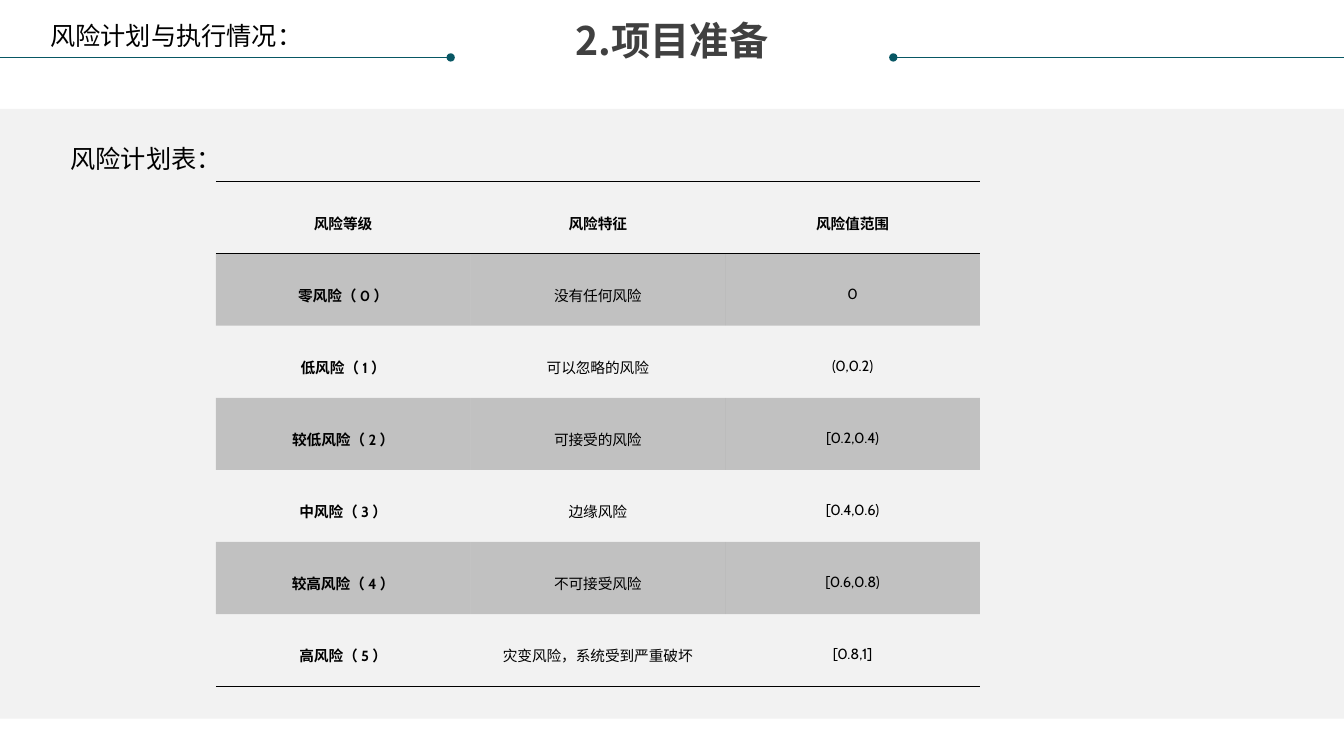
from dataclasses import dataclass

import lxml.etree
import pptx
import pptx.dml.color
import pptx.enum.dml
import pptx.enum.shapes
import pptx.enum.text
import pptx.oxml.ns
import pptx.util

Inches = pptx.util.Inches
Pt = pptx.util.Pt
qn = pptx.oxml.ns.qn
Align = pptx.enum.text.PP_ALIGN
Anchor = pptx.enum.text.MSO_ANCHOR
AutoSize = pptx.enum.text.MSO_AUTO_SIZE


@dataclass(frozen=True)
class Theme:
    panel: str = "F2F2F2"
    rule: str = "085764"
    title: str = "404040"
    ink: str = "000000"
    band_alpha: int = 20
    latin: str = "Cabin"
    chinese: str = "Noto Sans CJK SC"
    title_size: float = 28
    label_size: float = 18
    cell_size: float = 10.5


THEME = Theme()
SLIDE_WIDTH, SLIDE_HEIGHT = 13.33, 7.5
PLAIN_TABLE_STYLE = "{2D5ABB26-0587-4C30-8999-92F81FD0307C}"
RISK_HEADER = ("风险等级", "风险特征", "风险值范围")
RISK_LEVELS = [
    ("零风险（ 0 ）", "没有任何风险", "0"),
    ("低风险（ 1 ）", "可以忽略的风险", "(0,0.2)"),
    ("较低风险（ 2 ）", "可接受的风险", "[0.2,0.4)"),
    ("中风险（ 3 ）", "边缘风险", "[0.4,0.6)"),
    ("较高风险（ 4 ）", "不可接受风险", "[0.6,0.8)"),
    ("高风险（ 5 ）", "灾变风险，系统受到严重破坏", "[0.8,1]"),
]


def rgb(value):
    return pptx.dml.color.RGBColor.from_string(value)


def add_xml(parent, tag, **attributes):
    return lxml.etree.SubElement(parent, qn(tag), attributes)


def write_text(frame, text, size, color=THEME.ink, font=THEME.latin, bold=False,
               align=Align.LEFT, spacing=1.0):
    paragraph = frame.paragraphs[0]
    paragraph.alignment = align
    paragraph.line_spacing = spacing
    run = paragraph.add_run()
    run.text = text
    run.font.size = Pt(size)
    run.font.bold = bold
    run.font.name = font
    run.font.color.rgb = rgb(color)
    add_xml(run.font._element, "a:ea", typeface=THEME.chinese)


def add_label(slide, text, left, top, width, height):
    box = slide.shapes.add_textbox(Inches(left), Inches(top), Inches(width), Inches(height))
    box.text_frame.word_wrap = False
    box.text_frame.auto_size = AutoSize.SHAPE_TO_FIT_TEXT
    write_text(box.text_frame, text, THEME.label_size)


def add_dotted_rule(slide, edge_x, dot_x, y):
    """Draw a rule from the slide edge to a round dot."""
    rule = slide.shapes.add_connector(
        pptx.enum.shapes.MSO_CONNECTOR.STRAIGHT,
        Inches(edge_x), Inches(y), Inches(dot_x), Inches(y))
    rule.line.color.rgb = rgb(THEME.rule)
    rule.line.width = Pt(0.5)
    add_xml(rule.line._get_or_add_ln(), "a:tailEnd", type="oval")
    add_xml(rule._element.spPr, "a:effectLst")


def add_header(slide, left, top, width):
    title = slide.shapes.title
    title.left, title.top = Inches(left + 0.25), Inches(top + 0.21)
    title.width, title.height = Inches(width - 0.5), Inches(0.85)
    frame = title.text_frame
    frame.margin_left = frame.margin_right = frame.margin_top = frame.margin_bottom = 0
    frame.vertical_anchor = Anchor.TOP
    frame.word_wrap = True
    frame.auto_size = AutoSize.NONE
    write_text(frame, "2.项目准备", THEME.title_size, color=THEME.title,
               font=THEME.chinese, bold=True, align=Align.CENTER, spacing=0.9)

    rule_length = 4.47
    right = left + width
    add_dotted_rule(slide, left, left + rule_length, top + 0.57)
    add_dotted_rule(slide, right, right - rule_length, top + 0.57)
    add_label(slide, "风险计划与执行情况：", left + 0.4, top + 0.15, 2.73, 0.4)


def add_border(cell, tag):
    line = add_xml(cell._tc.get_or_add_tcPr(), tag, w=str(Pt(1)))
    add_xml(add_xml(line, "a:solidFill"), "a:srgbClr", val=THEME.ink)


def fill_band(cell):
    cell.fill.solid()
    cell.fill.fore_color.rgb = rgb(THEME.ink)
    color = cell._tc.tcPr.find(qn("a:solidFill")).find(qn("a:srgbClr"))
    add_xml(color, "a:alpha", val=str(THEME.band_alpha * 1000))


def add_risk_table(slide, left, top, width, height):
    rows = [RISK_HEADER, *RISK_LEVELS]
    last = len(rows) - 1
    table = slide.shapes.add_table(
        len(rows), len(RISK_HEADER),
        Inches(left), Inches(top), Inches(width), Inches(height)).table
    table._tbl.tblPr.find(qn("a:tableStyleId")).text = PLAIN_TABLE_STYLE
    table.first_row = table.horz_banding = False

    for r, row in enumerate(rows):
        for c, text in enumerate(row):
            cell = table.cell(r, c)
            cell.margin_left = cell.margin_right = Inches(0.07)
            cell.margin_top = cell.margin_bottom = 0
            cell.vertical_anchor = Anchor.MIDDLE
            write_text(cell.text_frame, text, THEME.cell_size, bold=r == 0 or c == 0,
                       align=Align.CENTER, spacing=1.5)
            if r == 0:
                add_border(cell, "a:lnT")
            if r in (0, last):
                add_border(cell, "a:lnB")
            if r % 2:
                fill_band(cell)
            else:
                cell.fill.background()


def add_risk_panel(slide, left, top, width, height):
    panel = slide.shapes.add_shape(
        pptx.enum.shapes.MSO_SHAPE.RECTANGLE,
        Inches(left), Inches(top), Inches(width), Inches(height))
    panel.shadow.inherit = False
    panel.fill.solid()
    panel.fill.fore_color.rgb = rgb(THEME.panel)
    panel.line.fill.background()
    add_label(slide, "风险计划表：", left + 0.6, top + 0.29, 1.72, 0.4)
    add_risk_table(slide, left + 2.14, top + 0.72, 7.58, 5.01)


def main():
    deck = pptx.Presentation()
    deck.slide_width, deck.slide_height = Inches(SLIDE_WIDTH), Inches(SLIDE_HEIGHT)
    slide = deck.slides.add_slide(deck.slide_layouts.get_by_name("Title Only"))
    add_header(slide, 0, 0, SLIDE_WIDTH)
    add_risk_panel(slide, 0, 1.08, SLIDE_WIDTH, 6.05)
    deck.save("out.pptx")


if __name__ == "__main__":
    main()
